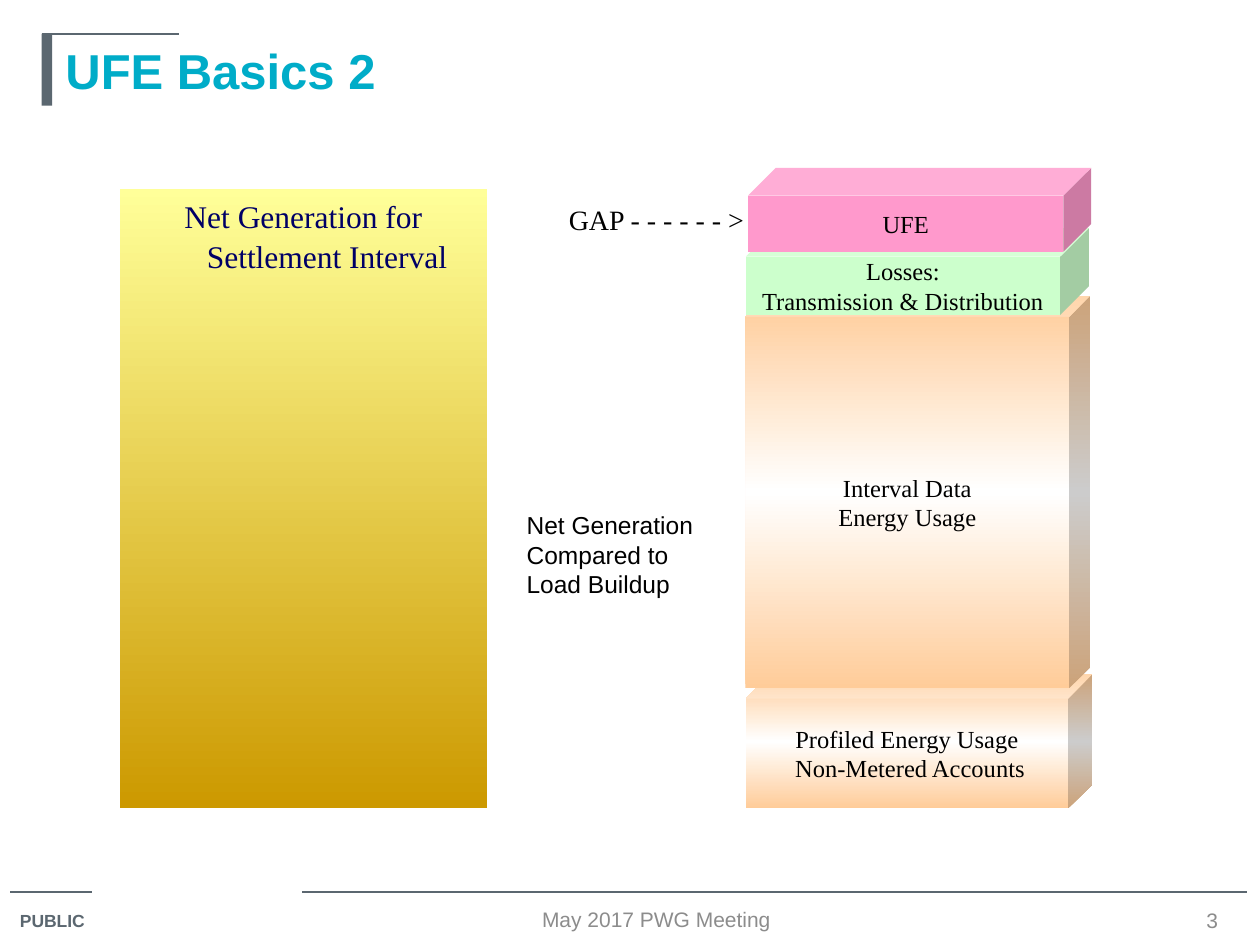
from copy import deepcopy

from pptx import Presentation
from pptx.dml.color import RGBColor
from pptx.enum.shapes import MSO_CONNECTOR, MSO_SHAPE
from pptx.enum.text import MSO_ANCHOR, MSO_AUTO_SIZE, PP_ALIGN
from pptx.oxml.ns import qn
from pptx.util import Pt
from lxml import etree

LEFT, CENTER = PP_ALIGN.LEFT, PP_ALIGN.CENTER
TOP, MIDDLE = MSO_ANCHOR.TOP, MSO_ANCHOR.MIDDLE
SANS, SERIF = "Arial", "Times New Roman"

SLATE = RGBColor(0x5B, 0x67, 0x70)
TEAL = RGBColor(0x00, 0xAC, 0xC8)
GRAY = RGBColor(0x8C, 0x8C, 0x8C)
NAVY = RGBColor(0x00, 0x00, 0x66)
BLACK = RGBColor(0, 0, 0)
WHITE = RGBColor(0xFF, 0xFF, 0xFF)
YELLOW = RGBColor(0xFF, 0xFF, 0x99)
GOLD = RGBColor(0xCC, 0x99, 0x00)
PEACH = RGBColor(0xFF, 0xCC, 0x99)
MINT = RGBColor(0xCC, 0xFF, 0xCC)
PINK = RGBColor(0xFF, 0x99, 0xCC)

TITLE = "UFE Basics 2"
SUPPLY = "Net Generation for Settlement Interval"
RULES = [(5.8, 52.6, 509.8), (172.8, 712.8, 509.8), (23.8, 102.2, 19.4)]

# text, box, depth ratio, fill colours, side inset
LOADS = [
    ("Profiled Energy Usage\n Non-Metered Accounts", (426.2, 385.2, 198, 76.8),
     0.18, [PEACH, WHITE, PEACH], 7.2),
    ("Interval Data\nEnergy Usage", (426, 169.2, 196.8, 224),
     0.06, [PEACH, WHITE, PEACH], 7.2),
    ("Losses:\nTransmission & Distribution", (426.2, 130.3, 196, 49.7),
     0.33, [MINT], 3.6),
    ("UFE", (427.5, 96, 196, 47.8), 0.33, [PINK], 3.6),
]

# text, box, font, size, colour, bold, align, anchor, wrap
NOTES = [
    ("PUBLIC", (4.3, 516.2, 55.4, 20.2), SANS, 10, SLATE, True, LEFT, TOP, True),
    ("May 2017 PWG Meeting", (216, 516.2, 318.2, 18), SANS, 12, GRAY, False,
     CENTER, MIDDLE, True),
    ("3", (671.8, 517, 41.8, 17.3), SANS, 12, GRAY, False, CENTER, MIDDLE, True),
    ("Net Generation\nCompared to\nLoad Buildup", (293.8, 288, 114.5, 57.6),
     SANS, 14, BLACK, False, LEFT, TOP, False),
    ("GAP - - - - - - >", (306, 112.3, 138.2, 26.6), SERIF, 16, BLACK, False,
     CENTER, TOP, True),
]


def place(shape, box):
    shape.left, shape.top, shape.width, shape.height = map(Pt, box)


def write(shape, text, font, size, color, bold=False, align=CENTER, anchor=MIDDLE):
    frame = shape.text_frame
    frame.text = text
    frame.auto_size = MSO_AUTO_SIZE.NONE
    frame.vertical_anchor = anchor
    for para in frame.paragraphs:
        para.alignment = align
        para.space_before = Pt(0)
        for run in para.runs:
            run.font.name, run.font.size = font, Pt(size)
            run.font.bold = bold
            run.font.color.rgb = color


def inset(frame, side):
    frame.margin_left = frame.margin_right = Pt(side)
    frame.margin_top = frame.margin_bottom = Pt(3.6)


def paint(shape, colors):
    """Fill with one colour, or with an even gradient from top to bottom."""
    fill = shape.fill
    if len(colors) == 1:
        fill.solid()
        fill.fore_color.rgb = colors[0]
        return
    fill.gradient()
    fill.gradient_angle = 270
    stops = shape._element.spPr.find(".//" + qn("a:gsLst"))
    while len(stops) < len(colors):
        stops.append(deepcopy(stops[0]))
    for i, (stop, color) in enumerate(zip(fill.gradient_stops, colors)):
        stop.color.rgb = color
        stop.position = i / (len(colors) - 1)


def add_shape(kind, box, colors):
    shape = slide.shapes.add_shape(kind, *map(Pt, box))
    shape.shadow.inherit = False
    shape.line.fill.background()
    paint(shape, colors)
    return shape


deck = Presentation()
deck.slide_width, deck.slide_height = Pt(720), Pt(540)
slide = deck.slides.add_slide(deck.slide_layouts[1])

for x1, x2, y in RULES:
    rule = slide.shapes.add_connector(
        MSO_CONNECTOR.STRAIGHT, Pt(x1), Pt(y), Pt(x2), Pt(y))
    rule.line.color.rgb = SLATE
    rule.line.width = Pt(0.75)
    etree.SubElement(rule._element.spPr, qn("a:effectLst"))
add_shape(MSO_SHAPE.RECTANGLE, (23.8, 19.4, 6, 41), [SLATE])

title, body = slide.placeholders
place(title, (30.2, 19.4, 666, 41))
write(title, TITLE, SANS, 28, TEAL, True, LEFT)

place(body, (68.4, 108, 210, 353.5))
paint(body, [YELLOW, GOLD])
write(body, SUPPLY, SERIF, 18, NAVY, anchor=TOP)
inset(body.text_frame, 3.6)
para = body.text_frame.paragraphs[0]
para.line_spacing = 1.05
props = para._p.get_or_add_pPr()
props.set("marL", str(Pt(27)))
props.set("indent", str(-Pt(27)))
etree.SubElement(props, qn("a:buNone"))

for text, box, depth, colors, side in LOADS:
    cube = add_shape(MSO_SHAPE.CUBE, box, colors)
    cube.adjustments[0] = depth
    write(cube, text, SERIF, 14, BLACK)
    inset(cube.text_frame, side)

for text, box, font, size, color, bold, align, anchor, wrap in NOTES:
    note = slide.shapes.add_textbox(*map(Pt, box))
    write(note, text, font, size, color, bold, align, anchor)
    note.text_frame.word_wrap = wrap

deck.save("out.pptx")
